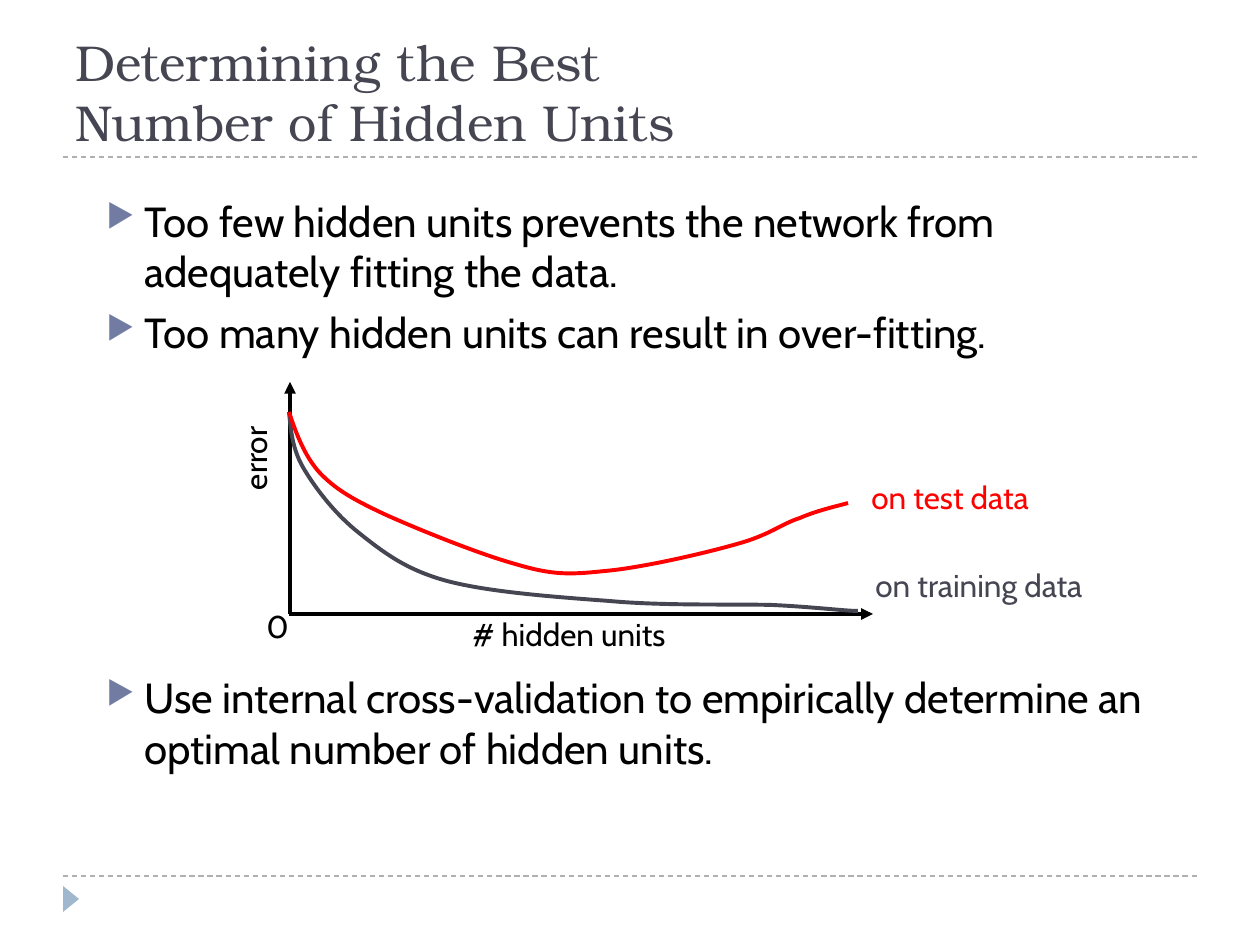
from lxml.etree import SubElement
from pptx import Presentation
from pptx.dml.color import RGBColor
from pptx.enum.dml import MSO_LINE
from pptx.enum.shapes import MSO_CONNECTOR as CONNECTOR, MSO_SHAPE as SHAPE
from pptx.enum.text import MSO_ANCHOR as ANCHOR, MSO_AUTO_SIZE as AUTO_SIZE
from pptx.oxml.ns import qn
from pptx.util import Pt

SCALE = 914400 / 126
TITLE_FONT, BODY_FONT, BULLET_FONT = "TeX Gyre Bonum", "Cabin", "OpenSymbol"
COLORS = {
    "title": "464653", "text": "000000", "bullet": "727CA3", "rule": "B0B0B0",
    "marker": "9FB8CD", "training": "464653", "test": "FF0000",
}

TITLE = "Determining the Best \vNumber of Hidden Units"
BULLETS = [
    ("Too few hidden units prevents the network from adequately fitting the data.", 6),
    ("Too many hidden units can result in over-fitting.", 6),
    ("Use internal cross-validation to empirically determine an optimal number of hidden units.", 180),
]
RULES = [(63, 876, 1197, 876), (63, 157, 1197, 157)]
AXES = [(290, 614, 290, 382), (289, 614, 873, 614)]
LABELS = [
    ("error", (210, 429, 93, 54), "text", 270),
    ("on training data", (863, 560, 244, 54), "training", 0),
    ("on test data", (859, 472, 184, 54), "test", 0),
    ("0", (254, 601, 43, 54), "text", 0),
    ("# hidden units", (460, 609, 223, 54), "text", 0),
]
START = (289, 412)
CURVES = {
    "training": [
        ((291, 430), (292, 449), (304, 469)),
        ((316, 489), (335, 514), (359, 533)),
        ((383, 552), (406, 570), (447, 581)),
        ((488, 592), (554, 597), (609, 601)),
        ((663, 606), (731, 604), (772, 605)),
        ((814, 607), (845, 611), (858, 611)),
    ],
    "test": [
        ((296, 433), (304, 455), (319, 472)),
        ((335, 489), (352, 499), (384, 514)),
        ((417, 529), (479, 554), (515, 564)),
        ((552, 575), (568, 575), (605, 571)),
        ((641, 568), (706, 553), (737, 544)),
        ((770, 535), (781, 524), (800, 518)),
        ((818, 510), (842, 505), (848, 503)),
    ],
}


def px(*lengths):
    return [round(length * SCALE) for length in lengths]


def color(name):
    return RGBColor.from_string(COLORS[name])


def add_text(page, place, lines, font, size, ink):
    box = page.shapes.add_textbox(*px(*place))
    frame = box.text_frame
    frame.word_wrap = True
    frame.text = "\n".join(lines)
    for para in frame.paragraphs:
        for span in para.runs:
            span.font.name = font
            span.font.size = Pt(size)
            span.font.color.rgb = color(ink)
    return box


def add_bullet(para, gap):
    para.space_before = Pt(gap)
    props = para._p.get_or_add_pPr()
    indent = px(38)[0]
    props.set("marL", str(indent))
    props.set("indent", str(-indent))
    tint = SubElement(props, qn("a:buClr"))
    SubElement(tint, qn("a:srgbClr"), val=COLORS["bullet"])
    SubElement(props, qn("a:buSzPct"), val="76000")
    SubElement(props, qn("a:buFont"), typeface=BULLET_FONT)
    SubElement(props, qn("a:buChar"), char="▶")


def add_line(page, ends, ink, width):
    line = page.shapes.add_connector(CONNECTOR.STRAIGHT, *px(*ends))
    line.line.color.rgb = color(ink)
    line.line.width = Pt(width)
    SubElement(line._element.spPr, qn("a:effectLst"))
    return line


def add_curve(page, segments, ink):
    builder = page.shapes.build_freeform(*px(*START))
    builder.add_line_segments([px(*segment[-1]) for segment in segments], close=False)
    curve = builder.convert_to_shape()
    curve.shadow.inherit = False
    curve.fill.background()
    curve.line.color.rgb = color(ink)
    curve.line.width = Pt(2.25)
    for step, segment in zip(list(curve._element.iter(qn("a:lnTo"))), segments):
        bend = SubElement(step.getparent(), qn("a:cubicBezTo"))
        for point in segment:
            x, y = px(*point)
            SubElement(bend, qn("a:pt"), x=str(x - curve.left), y=str(y - curve.top))
        step.getparent().remove(step)


def main():
    deck = Presentation()
    deck.slide_width, deck.slide_height = px(1260, 945)
    page = deck.slides.add_slide(deck.slide_layouts[6])

    for ends in RULES:
        add_line(page, ends, "rule", 0.75).line.dash_style = MSO_LINE.DASH

    marker = page.shapes.add_shape(SHAPE.ISOSCELES_TRIANGLE, *px(58, 891, 26, 16))
    marker.rotation = 90
    marker.shadow.inherit = False
    marker.fill.solid()
    marker.fill.fore_color.rgb = color("marker")
    marker.line.fill.background()

    title = add_text(page, (63, 21, 1134, 137), [TITLE], TITLE_FONT, 28.8, "title")
    title.text_frame.vertical_anchor = ANCHOR.BOTTOM

    lines, gaps = zip(*BULLETS)
    body = add_text(page, (94, 189, 1071, 677), lines, BODY_FONT, 24, "text")
    for para, gap in zip(body.text_frame.paragraphs, gaps):
        add_bullet(para, gap)

    for ends in AXES:
        axis = add_line(page, ends, "text", 2.25)
        SubElement(axis.line._get_or_add_ln(), qn("a:tailEnd"), type="triangle")

    for text, place, ink, angle in LABELS:
        label = add_text(page, place, [text], BODY_FONT, 18, ink)
        label.text_frame.word_wrap = False
        label.text_frame.auto_size = AUTO_SIZE.SHAPE_TO_FIT_TEXT
        label.rotation = angle

    for ink, segments in CURVES.items():
        add_curve(page, segments, ink)

    deck.save("out.pptx")


if __name__ == "__main__":
    main()
